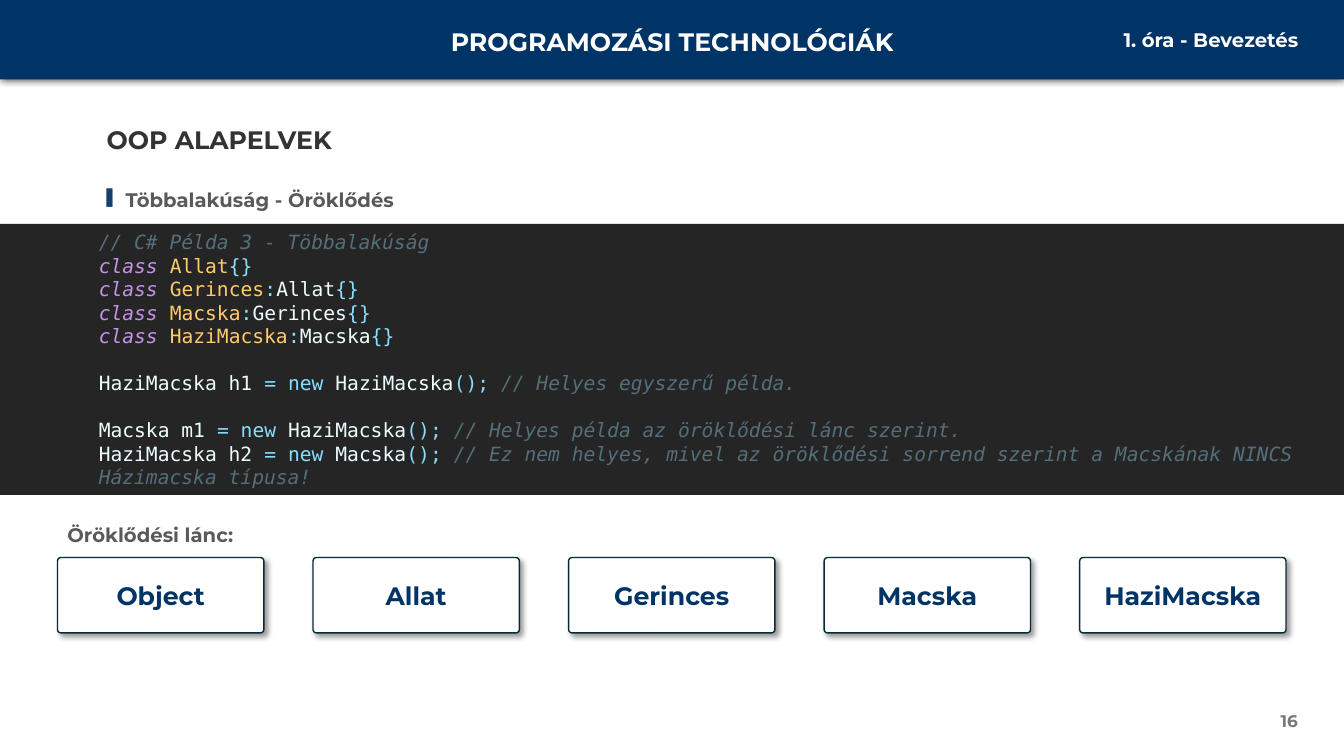
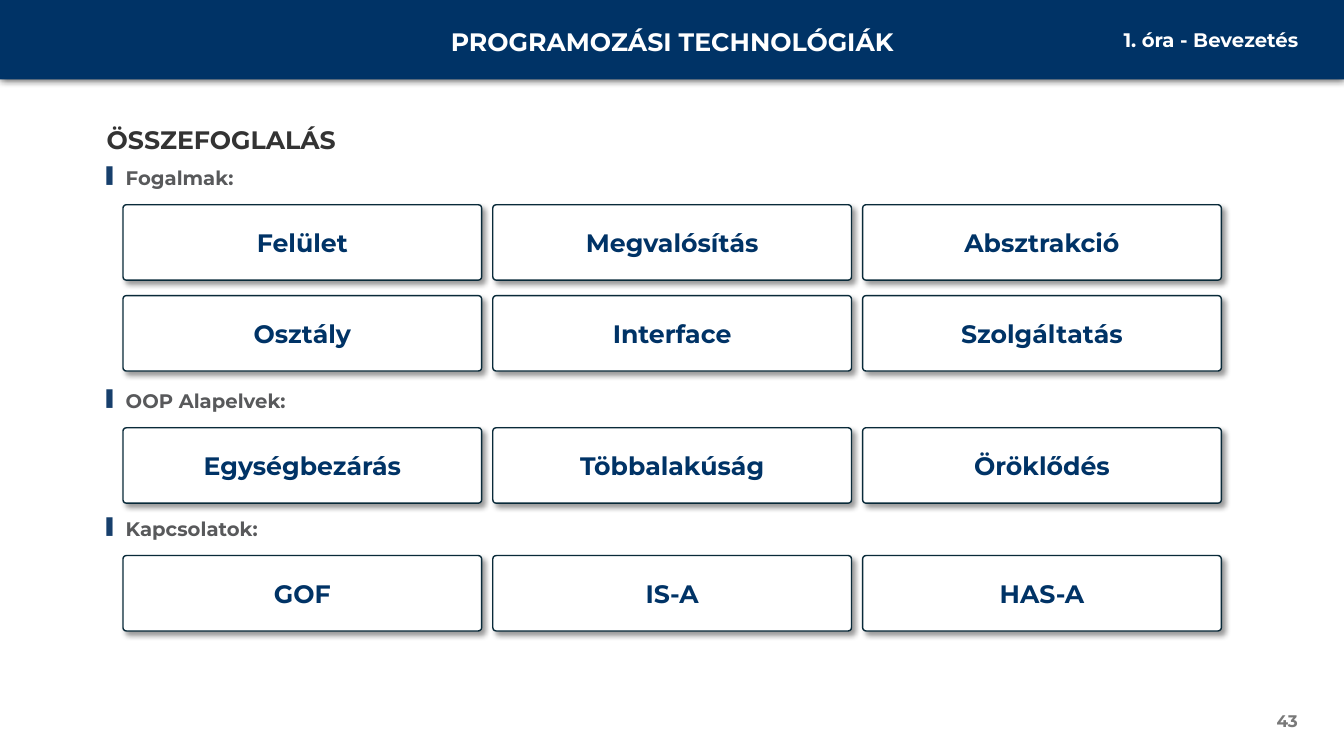
from dataclasses import dataclass

from lxml import etree
from pptx import Presentation
from pptx.dml.color import RGBColor
from pptx.enum.shapes import MSO_SHAPE
from pptx.enum.text import MSO_ANCHOR, PP_ALIGN
from pptx.oxml.ns import qn
from pptx.util import Cm, Pt


@dataclass(frozen=True)
class Theme:
    navy: str = "003366"
    white: str = "FFFFFF"
    title: str = "333333"
    label: str = "58595B"
    bullet: str = "173F6C"
    number: str = "797979"
    outline: str = "092A39"
    editor: str = "252526"
    comment: str = "546E7A"
    keyword: str = "C792EA"
    name: str = "FFCB6B"
    symbol: str = "89DDFF"
    plain: str = "EEFFFF"
    font: str = "Montserrat"
    code_font: str = "DejaVu Sans Mono"
    big: int = 18
    medium: int = 14
    small: int = 12


T = Theme()
WIDTH, HEIGHT = 33.87, 19.05


def add_block(s, box, fill, shape=MSO_SHAPE.RECTANGLE, shadow=None):
    """Add a filled shape; shadow is (opacity %, blur pt, distance pt, angle)."""
    sp = s.shapes.add_shape(shape, *map(Cm, box))
    sp.fill.solid()
    sp.fill.fore_color.rgb = RGBColor.from_string(fill)
    sp.line.fill.background()
    sp.shadow.inherit = False
    if shadow:
        opacity, blur, distance, angle = shadow
        effects = sp.element.spPr.find(qn("a:effectLst"))
        outer = etree.SubElement(
            effects, qn("a:outerShdw"), blurRad=str(Pt(blur)), dist=str(Pt(distance)),
            dir=str(angle * 60000), algn="ctr", rotWithShape="0")
        color = etree.SubElement(outer, qn("a:srgbClr"), val="000000")
        etree.SubElement(color, qn("a:alpha"), val=str(opacity * 1000))
    return sp


def add_text(sp, text, size, color, align=PP_ALIGN.LEFT, anchor=MSO_ANCHOR.TOP, bullet=False):
    """Write one bold line into a shape or text box."""
    tf = sp.text_frame
    tf.word_wrap = True
    tf.vertical_anchor = anchor
    tf.text = text
    p = tf.paragraphs[0]
    p.alignment = align
    if bullet:
        pPr = p._p.get_or_add_pPr()
        pPr.set("marL", str(Cm(0.48)))
        pPr.set("indent", str(-Cm(0.48)))
        bullet_color = etree.SubElement(pPr, qn("a:buClr"))
        etree.SubElement(bullet_color, qn("a:srgbClr"), val=T.bullet)
        etree.SubElement(pPr, qn("a:buSzPct"), val="80000")
        etree.SubElement(pPr, qn("a:buChar"), char="▌")
    font = p.runs[0].font
    font.name, font.size, font.bold = T.font, Pt(size), True
    font.color.rgb = RGBColor.from_string(color)


# Each label: text, left, top, bulleted. Each card row: left, top, width, pitch, names.
CHAIN = ["Object", "Allat", "Gerinces", "Macska", "HaziMacska"]
SECTIONS = [
    ("Fogalmak:", 4.06, [["Felület", "Megvalósítás", "Absztrakció"],
                         ["Osztály", "Interface", "Szolgáltatás"]]),
    ("OOP Alapelvek:", 9.68, [["Egységbezárás", "Többalakúság", "Öröklődés"]]),
    ("Kapcsolatok:", 12.9, [["GOF", "IS-A", "HAS-A"]]),
]
pages = [
    ("OOP ALAPELVEK", 16,
     [("Többalakúság - Öröklődés", 2.44, 4.62, True), ("Öröklődési lánc:", 1.45, 13.06, False)],
     [(1.45, 14.05, 5.2, 6.44, CHAIN)]),
    ("ÖSSZEFOGLALÁS", 43,
     [(text, 2.44, top, True) for text, top, _ in SECTIONS],
     [(3.1, top + 1.1 + 2.29 * i, 9.04, 9.32, names)
      for _, top, rows in SECTIONS for i, names in enumerate(rows)]),
]

prs = Presentation()
prs.slide_width, prs.slide_height = Cm(WIDTH), Cm(HEIGHT)

for title, number, labels, card_rows in pages:
    s = prs.slides.add_slide(prs.slide_layouts[6])
    add_block(s, (0, 0, WIDTH, 2), T.navy, shadow=(80, 6, 0, 90))
    frame_texts = [
        ((10.31, 0.53, 13.26, 1.02), "PROGRAMOZÁSI TECHNOLÓGIÁK", T.big, T.white,
         PP_ALIGN.CENTER, MSO_ANCHOR.TOP),
        ((26.11, 0.58, 6.86, 0.86), "1. óra - Bevezetés", T.medium, T.white,
         PP_ALIGN.RIGHT, MSO_ANCHOR.TOP),
        ((25.34, 17.65, 7.62, 1.02), str(number), T.small, T.number,
         PP_ALIGN.RIGHT, MSO_ANCHOR.MIDDLE),
        ((2.44, 3.02, 9.04, 1.02), title, T.big, T.title, PP_ALIGN.LEFT, MSO_ANCHOR.TOP),
    ]
    for box, *style in frame_texts:
        add_text(s.shapes.add_textbox(*map(Cm, box)), *style)
    for text, left, top, bulleted in labels:
        sp = s.shapes.add_textbox(Cm(left), Cm(top), Cm(30.53), Cm(1.02))
        add_text(sp, text, T.medium, T.label, bullet=bulleted)
    for left, top, width, pitch, names in card_rows:
        for i, name in enumerate(names):
            card = add_block(s, (left + i * pitch, top, width, 1.9), T.white,
                             MSO_SHAPE.ROUNDED_RECTANGLE, (40, 4, 3, 45))
            card.adjustments[0] = 0.045
            card.line.color.rgb = RGBColor.from_string(T.outline)
            card.line.width = Pt(1)
            add_text(card, name, T.big, T.navy, PP_ALIGN.CENTER, MSO_ANCHOR.MIDDLE)

# Code example on the first slide: each line is (gap above, tokens).
code = [(False, [("// C# Példa 3 - Többalakúság", T.comment)])]
for parent, child in zip(CHAIN, CHAIN[1:]):
    base = [] if parent == "Object" else [(":", T.symbol), (parent, T.plain)]
    code.append((False, [("class", T.keyword), (" ", T.plain), (child, T.name),
                         *base, ("{}", T.symbol)]))
for gap, variable, created, comment in [
    (True, "HaziMacska h1", "HaziMacska", "// Helyes egyszerű példa."),
    (True, "Macska m1", "HaziMacska", "// Helyes példa az öröklődési lánc szerint."),
    (False, "HaziMacska h2", "Macska", "// Ez nem helyes, mivel az öröklődési sorrend "
                                       "szerint a Macskának NINCS Házimacska típusa!"),
]:
    code.append((gap, [(f"{variable} ", T.plain), ("=", T.symbol), (" ", T.plain),
                       ("new", T.symbol), (f" {created}", T.plain), ("();", T.symbol),
                       (" ", T.plain), (comment, T.comment)]))

editor = add_block(prs.slides[0], (0, 5.64, WIDTH, 6.83), T.editor)
tf = editor.text_frame
tf.word_wrap = True
tf.vertical_anchor = MSO_ANCHOR.MIDDLE
tf.margin_left = Cm(2.49)
for i, (gap, tokens) in enumerate(code):
    p = tf.add_paragraph() if i else tf.paragraphs[0]
    p.alignment = PP_ALIGN.LEFT
    if gap:
        p.space_before = Pt(16.8)
    for text, color in tokens:
        r = p.add_run()
        r.text = text
        r.font.name, r.font.size = T.code_font, Pt(T.medium)
        r.font.italic = color in (T.comment, T.keyword)
        r.font.color.rgb = RGBColor.from_string(color)

prs.save("out.pptx")
